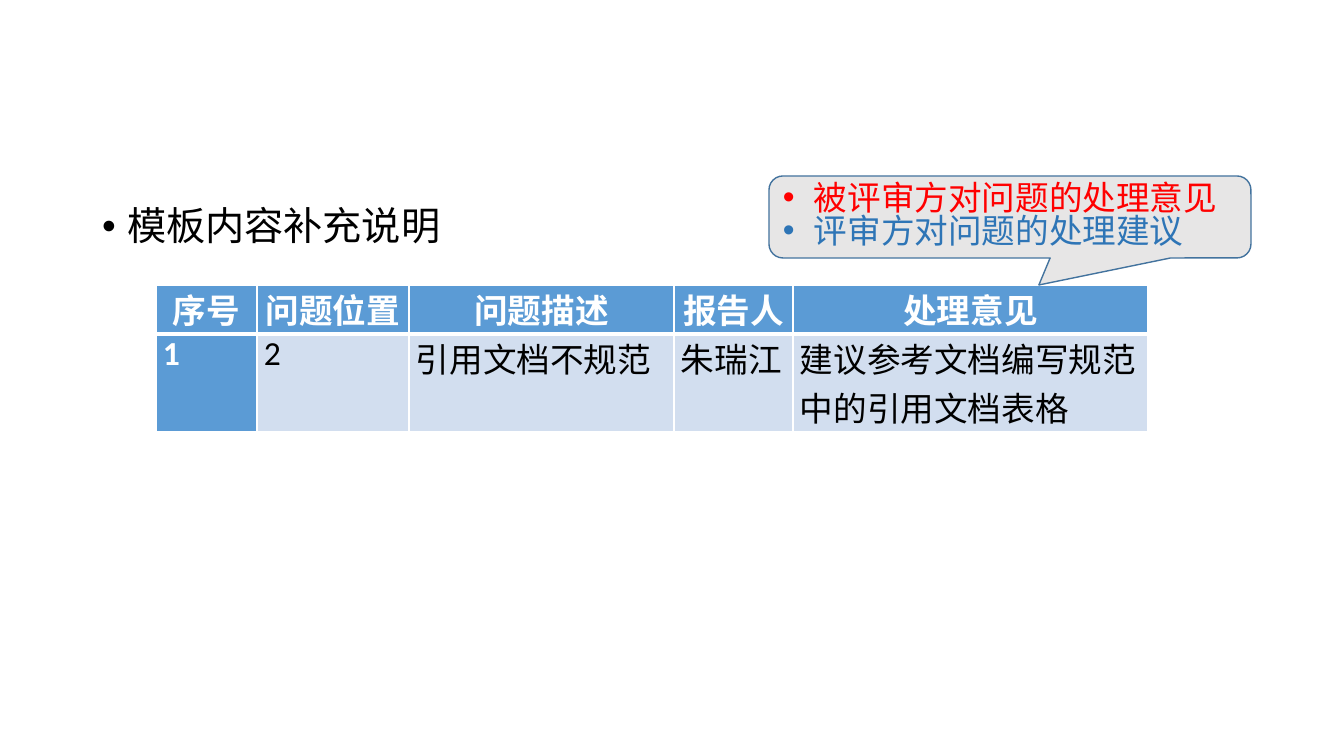
from lxml import etree
from pptx import Presentation
from pptx import util as u
from pptx.dml.color import RGBColor
from pptx.enum import shapes, text
from pptx.oxml import ns

PX = 914400 / 100.8
FONT = "Calibri"
WHITE, BLACK, BLUE, PALE_BLUE = "FFFFFF", "000000", "5B9BD5", "D2DEEF"
ALIGN = text.PP_ALIGN

COLUMN_WIDTHS = [101, 152, 265, 119, 355]
ROW_HEIGHTS = [48, 97]
ISSUES = [
    ["序号", "问题位置", "问题描述", "报告人", "处理意见"],
    ["1", "2", "引用文档不规范", "朱瑞江", "建议参考文档编写规范中的引用文档表格"],
]
OPINIONS = [("被评审方对问题的处理意见", "FF0000"), ("评审方对问题的处理建议", "2E75B6")]


def px(length):
    return u.Emu(round(length * PX))


def color(value):
    return RGBColor.from_string(value)


def write(paragraph, content, size=24, fill=BLACK, bold=False, align=ALIGN.LEFT,
          spacing=None, before=None, indent=0):
    paragraph.alignment = align
    if spacing is not None:
        paragraph.line_spacing = spacing
    if before is not None:
        paragraph.space_before = u.Pt(before)
    run = paragraph.add_run()
    run.text = content
    run.font.name = FONT
    run.font.size = u.Pt(size)
    run.font.bold = bold
    run.font.color.rgb = color(fill)
    if indent:
        add_bullet(paragraph, indent)


def add_bullet(paragraph, indent):
    properties = paragraph._p.get_or_add_pPr()
    properties.set("marL", str(px(indent)))
    properties.set("indent", str(-px(indent)))
    etree.SubElement(properties, ns.qn("a:buFont"), typeface="Arial")
    etree.SubElement(properties, ns.qn("a:buChar"), char="•")


def add_border(cell, side, width):
    properties = cell._tc.get_or_add_tcPr()
    line = etree.SubElement(properties, ns.qn(f"a:{side}"), w=str(u.Pt(width)))
    fill = etree.SubElement(line, ns.qn("a:solidFill"))
    etree.SubElement(fill, ns.qn("a:srgbClr"), val=WHITE)


def format_cell(cell, content, header, first):
    cell.margin_left = cell.margin_right = px(7)
    cell.margin_top = cell.margin_bottom = 0
    strong = header or first
    align = ALIGN.CENTER if header else ALIGN.LEFT
    write(cell.text_frame.paragraphs[0], content, bold=strong,
          fill=WHITE if strong else BLACK, align=align)
    for side in ("lnL", "lnR", "lnT", "lnB"):
        meets_header = side == ("lnB" if header else "lnT")
        add_border(cell, side, 3 if meets_header else 1)
    cell.fill.solid()
    cell.fill.fore_color.rgb = color(BLUE if strong else PALE_BLUE)


def add_issue_table(slide):
    frame = slide.shapes.add_table(
        len(ISSUES), len(COLUMN_WIDTHS), px(156), px(285),
        px(sum(COLUMN_WIDTHS)), px(sum(ROW_HEIGHTS)))
    table = frame.table
    for column, width in zip(table.columns, COLUMN_WIDTHS):
        column.width = px(width)
    for row, height in zip(table.rows, ROW_HEIGHTS):
        row.height = px(height)
    for r, issue in enumerate(ISSUES):
        for c, content in enumerate(issue):
            format_cell(table.cell(r, c), content, header=r == 0, first=c == 0)
    table.cell(1, 3).text_frame.paragraphs[0].alignment = ALIGN.JUSTIFY


def add_callout(slide):
    callout = slide.shapes.add_shape(
        shapes.MSO_SHAPE.ROUNDED_RECTANGULAR_CALLOUT, px(769), px(176), px(482), px(82))
    for index, value in enumerate((0.06, 0.83, 0.17)):
        callout.adjustments[index] = value
    callout.shadow.inherit = False
    callout.fill.solid()
    callout.fill.fore_color.rgb = color("E7E6E6")
    callout.line.color.rgb = color("43739E")
    callout.line.width = u.Pt(1)
    frame = callout.text_frame
    frame.word_wrap = True
    frame.vertical_anchor = text.MSO_ANCHOR.MIDDLE
    for index, (opinion, fill) in enumerate(OPINIONS):
        paragraph = frame.add_paragraph() if index else frame.paragraphs[0]
        write(paragraph, opinion, fill=fill, spacing=0.82, indent=31)


def fill_body(slide):
    body = slide.placeholders[1]
    body.left, body.top, body.width, body.height = px(92), px(202), px(1159), px(481)
    write(body.text_frame.paragraphs[0], "模板内容补充说明", size=28,
          spacing=0.9, before=10, indent=25)


def main():
    presentation = Presentation()
    presentation.slide_width, presentation.slide_height = px(1344), px(756)
    slide = presentation.slides.add_slide(presentation.slide_layouts[1])
    title = slide.shapes.title._element
    title.getparent().remove(title)
    fill_body(slide)
    add_issue_table(slide)
    add_callout(slide)
    presentation.save("out.pptx")


if __name__ == "__main__":
    main()
